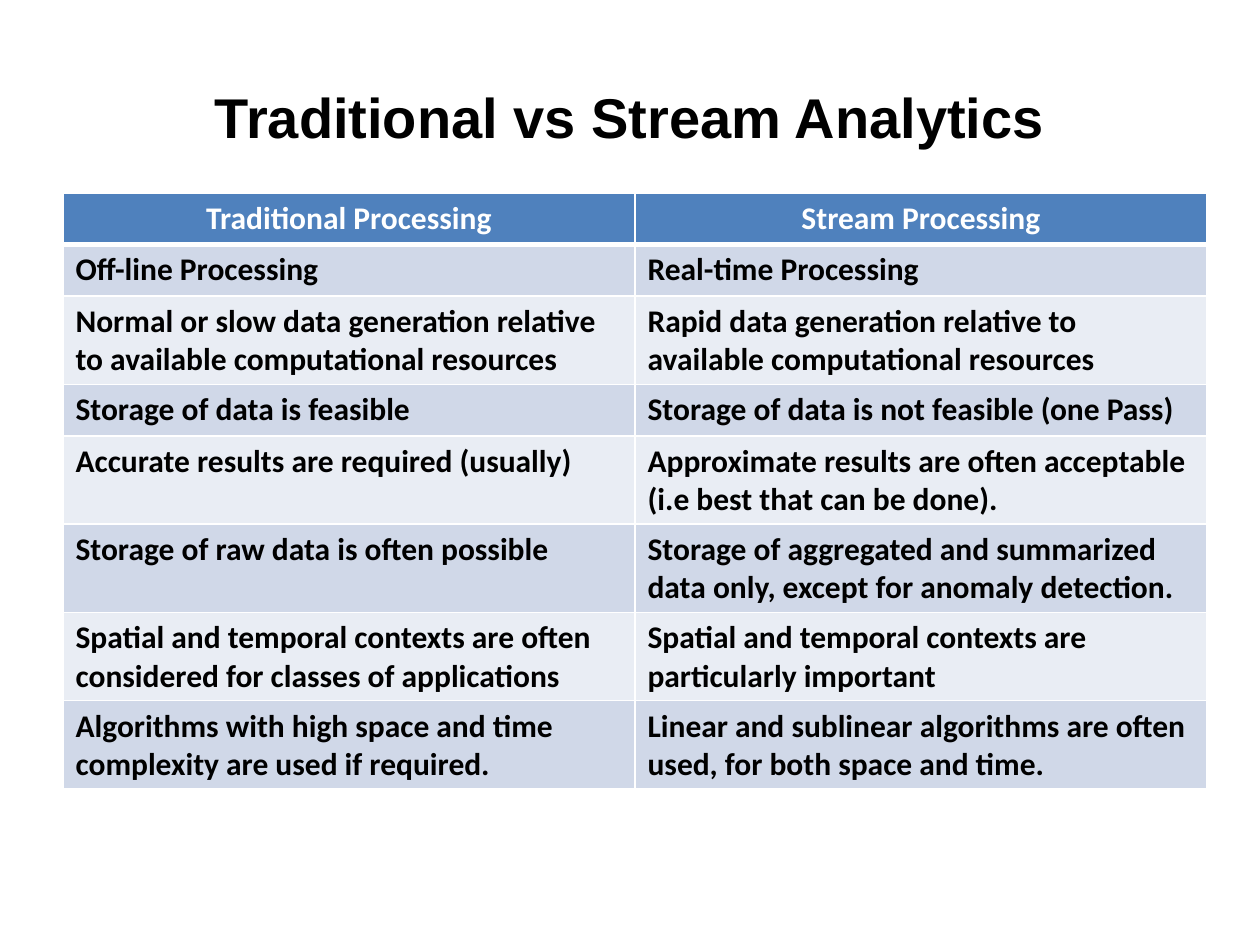
from dataclasses import dataclass

from lxml import etree
from pptx import Presentation
from pptx.dml.color import RGBColor
from pptx.enum.text import MSO_ANCHOR, PP_ALIGN
from pptx.oxml.ns import qn
from pptx.util import Inches, Pt


@dataclass(frozen=True)
class Theme:
    black: str = "000000"
    white: str = "FFFFFF"
    header: str = "4F81BD"
    bands: tuple = ("D0D8E8", "E9EDF4")
    title_font: str = "Arial"
    table_font: str = "Calibri"
    title_size: int = 32
    table_size: int = 18
    thin_border: int = 1
    header_border: int = 3


ROWS = [
    ("Traditional Processing", "Stream Processing"),
    ("Off-line Processing", "Real-time Processing"),
    ("Normal or slow data generation relative to available computational resources",
     "Rapid data generation relative to available computational resources"),
    ("Storage of data is feasible", "Storage of data is not feasible (one Pass)"),
    ("Accurate results are required (usually)",
     "Approximate results are often acceptable (i.e best that can be done)."),
    ("Storage of raw data is often possible",
     "Storage of aggregated and summarized data only, except for anomaly detection."),
    ("Spatial and temporal contexts are often considered for classes of applications",
     "Spatial and temporal contexts are particularly important"),
    ("Algorithms with high space and time complexity are used if required.",
     "Linear and sublinear algorithms are often used, for both space and time."),
]


class SlideBuilder:
    def __init__(self, slide, theme):
        self.slide = slide
        self.theme = theme

    def styled_text(self, text_frame, text, font_name, size, color, align):
        text_frame.text = text
        paragraph = text_frame.paragraphs[0]
        paragraph.alignment = align
        font = paragraph.runs[0].font
        font.name, font.size, font.bold = font_name, Pt(size), True
        font.color.rgb = RGBColor.from_string(color)

    def title(self, text, left, top, width, height):
        box = self.slide.shapes.add_textbox(
            Inches(left), Inches(top), Inches(width), Inches(height))
        text_frame = box.text_frame
        text_frame.word_wrap = True
        text_frame.vertical_anchor = MSO_ANCHOR.MIDDLE
        self.styled_text(text_frame, text, self.theme.title_font,
                         self.theme.title_size, self.theme.black, PP_ALIGN.CENTER)

    def borders(self, cell, top, bottom):
        """Draw the four cell borders; side borders are always thin."""
        properties = cell._tc.get_or_add_tcPr()
        thin = self.theme.thin_border
        sides = (("a:lnL", thin), ("a:lnR", thin), ("a:lnT", top), ("a:lnB", bottom))
        for position, (tag, width) in enumerate(sides):
            line = etree.Element(qn(tag), w=str(Pt(width)))
            fill = etree.SubElement(line, qn("a:solidFill"))
            etree.SubElement(fill, qn("a:srgbClr"), val=self.theme.white)
            properties.insert(position, line)

    def table(self, rows, left, top, width, height, row_height):
        theme = self.theme
        table = self.slide.shapes.add_table(
            len(rows), len(rows[0]), Inches(left), Inches(top),
            Inches(width), Inches(height)).table
        for row_index, texts in enumerate(rows):
            table.rows[row_index].height = Inches(row_height)
            is_header = row_index == 0
            fill = theme.header if is_header else theme.bands[(row_index - 1) % 2]
            color = theme.white if is_header else theme.black
            align = PP_ALIGN.CENTER if is_header else PP_ALIGN.LEFT
            top_border = theme.header_border if row_index == 1 else theme.thin_border
            bottom_border = theme.header_border if is_header else theme.thin_border
            for column_index, text in enumerate(texts):
                cell = table.cell(row_index, column_index)
                cell.fill.solid()
                cell.fill.fore_color.rgb = RGBColor.from_string(fill)
                self.borders(cell, top_border, bottom_border)
                self.styled_text(cell.text_frame, text, theme.table_font,
                                 theme.table_size, color, align)


def main():
    presentation = Presentation()
    presentation.slide_width, presentation.slide_height = Inches(10), Inches(7.5)
    slide = presentation.slides.add_slide(presentation.slide_layouts[6])
    builder = SlideBuilder(slide, Theme())
    builder.title("Traditional vs Stream Analytics", 0.5, 0.3, 9, 1.25)
    builder.table(ROWS, 0.5, 1.53, 9.08, 4.72, row_height=0.41)
    presentation.save("out.pptx")


if __name__ == "__main__":
    main()
